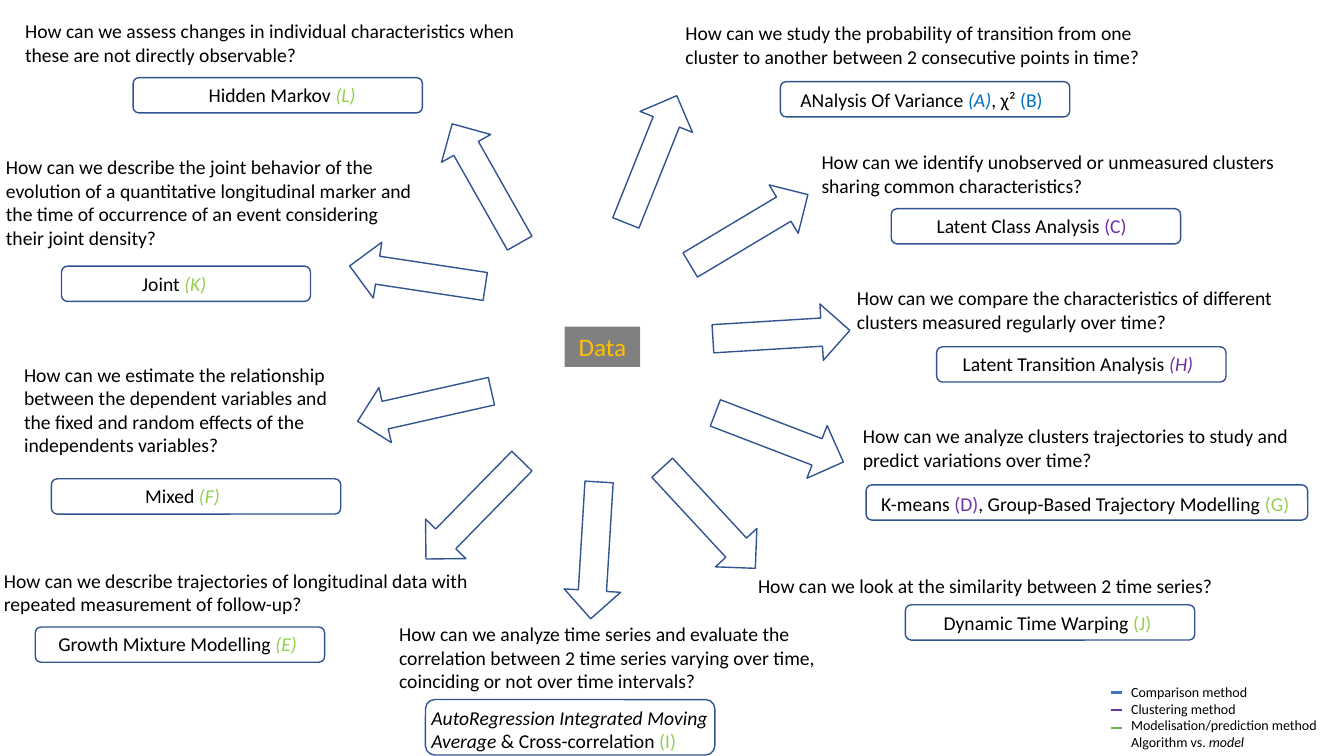
from pptx import Presentation
from pptx.dml.color import RGBColor
from pptx.enum.shapes import MSO_CONNECTOR, MSO_SHAPE
from pptx.enum.text import MSO_AUTO_SIZE, PP_ALIGN
from pptx.oxml.ns import qn
from pptx.util import Inches, Pt
from lxml.etree import SubElement

COLORS = {
    "black": "000000", "outline": "325491", "gray": "808080", "gold": "FFC000",
    "comparison": "0070C0", "clustering": "7030A0", "prediction": "92D050",
    "comparison key": "4472C4", "prediction key": "70AD47",
}

# The slide is a grid of one-inch cells, 13.33 columns by 7.5 rows
COLUMNS, ROWS, CELL = 13.33, 7.5, Inches(1)

deck = Presentation()
deck.slide_width, deck.slide_height = int(COLUMNS * CELL), int(ROWS * CELL)
page = deck.slides.add_slide(deck.slide_layouts[6])


def cells(*counts):
    return [round(count * CELL) for count in counts]


def write(box, paragraphs, size=14, align=PP_ALIGN.LEFT):
    """Fill a box; each paragraph is a list of (text, color name, italic) spans."""
    frame = box.text_frame
    frame.word_wrap = True
    frame.auto_size = MSO_AUTO_SIZE.SHAPE_TO_FIT_TEXT
    for index, spans in enumerate(paragraphs):
        para = frame.add_paragraph() if index else frame.paragraphs[0]
        para.alignment = align
        for text, color, italic in spans:
            span = para.add_run()
            span.text = text
            span.font.name, span.font.size = "Calibri", Pt(size)
            span.font.italic = italic
            span.font.color.rgb = RGBColor.from_string(COLORS[color])


# Data label in the center
data = page.shapes.add_shape(MSO_SHAPE.RECTANGLE, *cells(5.6, 3.24, 0.75, 0.4))
data.shadow.inherit = False
data.fill.solid()
data.fill.fore_color.rgb = RGBColor.from_string(COLORS["gray"])
data.line.fill.background()
write(data, [[("Data", "gold", False)]], size=18, align=PP_ALIGN.CENTER)

# Outlined shapes: arrows around the center (left, top, rotation)
ARROW_WIDTH, ARROW_HEIGHT = 1.36, 0.56
arrows = [
    (5.78, 1.3, 291.8), (6.75, 2, 329.1), (7.07, 3.04, 356.5), (7.05, 4.06, 21),
    (6.35, 4.86, 47.2), (5.22, 5.18, 93.5), (4.02, 4.78, 134.4),
    (3.53, 3.75, 167.3), (3.46, 2.46, 188.6), (4.14, 1.54, 240.5),
]
outlines = [(MSO_SHAPE.RIGHT_ARROW, (left, top, ARROW_WIDTH, ARROW_HEIGHT), turn)
            for left, top, turn in arrows]

# Outlined shapes: frames around the methods
WIDE, LOW = 2.87, 0.35
frames = [
    (7.74, 0.81, WIDE, LOW), (8.84, 2.07, WIDE, LOW), (9.29, 3.44, WIDE, LOW),
    (8.59, 4.81, 4.38, LOW), (8.98, 6, WIDE, LOW), (4.22, 6.94, WIDE, 0.55),
    (0.35, 6.22, WIDE, LOW), (0.51, 4.75, WIDE, LOW), (0.61, 2.64, 2.47, LOW),
    (1.32, 0.77, WIDE, LOW),
]
outlines += [(MSO_SHAPE.ROUNDED_RECTANGLE, place, 0) for place in frames]

for kind, place, turn in outlines:
    shape = page.shapes.add_shape(kind, *cells(*place))
    shape.shadow.inherit = False
    shape.rotation = turn
    shape.fill.background()
    shape.line.color.rgb = RGBColor.from_string(COLORS["outline"])
    shape.line.width = Pt(1)

# Questions, clockwise from the top right
questions = [
    (6.7, 0.16, 4.94, 0.57, "How can we study the probability of transition from one "
     "cluster to another between 2 consecutive points in time?"),
    (8.05, 1.44, 4.94, 0.57, "How can we identify unobserved or unmeasured clusters "
     "sharing common characteristics?"),
    (8.4, 2.79, 4.94, 0.57, "How can we compare the characteristics of different "
     "clusters measured regularly over time?"),
    (8.46, 4.16, 4.94, 0.57, "How can we analyze clusters trajectories to study and "
     "predict variations over time?"),
    (7.42, 5.64, 4.94, 0.34, "How can we look at the similarity between 2 time series?"),
    (3.86, 6.12, 4.94, 0.81, "How can we analyze time series and evaluate the "
     "correlation between 2 time series varying over time, "
     "coinciding or not over time intervals?"),
    (-0.06, 5.59, 5.21, 0.57, "How can we describe trajectories of longitudinal data "
     "with repeated measurement of follow-up?"),
    (0.14, 3.55, 3.43, 1.04, "How can we estimate the relationship between the "
     "dependent variables and the fixed and random effects of the "
     "independents variables?"),
    (-0.04, 1.49, 4.25, 1.04, "How can we describe the joint behavior of the evolution "
     "of a quantitative longitudinal marker and the time of occurrence of an event "
     "considering their joint density?"),
    (0.15, 0.14, 5.21, 0.57, "How can we assess changes in individual characteristics "
     "when these are not directly observable?"),
]
for *place, question in questions:
    write(page.shapes.add_textbox(*cells(*place)), [[(question, "black", False)]])

# Methods in the same order, each with its lettered tag
methods = [
    (7.84, 0.82, 2.68, 0.34, [
        ("ANalysis Of Variance ", "black", False), ("(A)", "comparison", True),
        (", χ² ", "black", False), ("(B)", "comparison", False)]),
    (9.19, 2.07, 2.35, 0.34, [
        ("Latent Class Analysis ", "black", False), ("(C)", "clustering", False)]),
    (9.45, 3.44, 2.6, 0.34, [
        ("Latent Transition Analysis ", "black", False), ("(H)", "clustering", True)]),
    (8.64, 4.83, 4.3, 0.34, [
        ("K-means ", "black", False), ("(D)", "clustering", False),
        (", Group-Based Trajectory Modelling ", "black", False),
        ("(G)", "prediction", False)]),
    (9.26, 6.01, 2.37, 0.34, [
        ("Dynamic Time Warping ", "black", False), ("(J)", "prediction", False)]),
    (4.18, 6.95, 3.38, 0.57, [
        ("AutoRegression Integrated Moving Average ", "black", True),
        ("& Cross-correlation ", "black", False), ("(I)", "prediction", False)]),
    (0.48, 6.22, 2.6, 0.34, [
        ("Growth Mixture Modelling ", "black", False), ("(E)", "prediction", True)]),
    (1.34, 4.75, 1.1, 0.34, [
        ("Mixed ", "black", False), ("(F)", "prediction", True)]),
    (1.31, 2.65, 1.14, 0.34, [
        ("Joint ", "black", False), ("(K)", "prediction", True)]),
    (1.97, 0.77, 1.69, 0.34, [
        ("Hidden Markov ", "black", False), ("(L)", "prediction", True)]),
]
for *place, spans in methods:
    write(page.shapes.add_textbox(*cells(*place)), [spans])

# Legend: text, then one color key per method family
legend = page.shapes.add_textbox(*cells(11.12, 6.73, 2.08, 0.77))
write(legend, [
    [("Comparison method", "black", False)],
    [("Clustering method", "black", False)],
    [("Modelisation/prediction method", "black", False)],
    [("Algorithm vs. ", "black", False), ("model", "black", True)],
], size=10)
for row, color in enumerate(["comparison key", "clustering", "prediction key"]):
    height = 6.87 + 0.175 * row
    key = page.shapes.add_connector(
        MSO_CONNECTOR.STRAIGHT, *cells(11.02, height, 11.13, height))
    key.line.color.rgb = RGBColor.from_string(COLORS[color])
    key.line.width = Pt(1.5)
    SubElement(key.element.spPr, qn("a:effectLst"))

deck.save("out.pptx")
